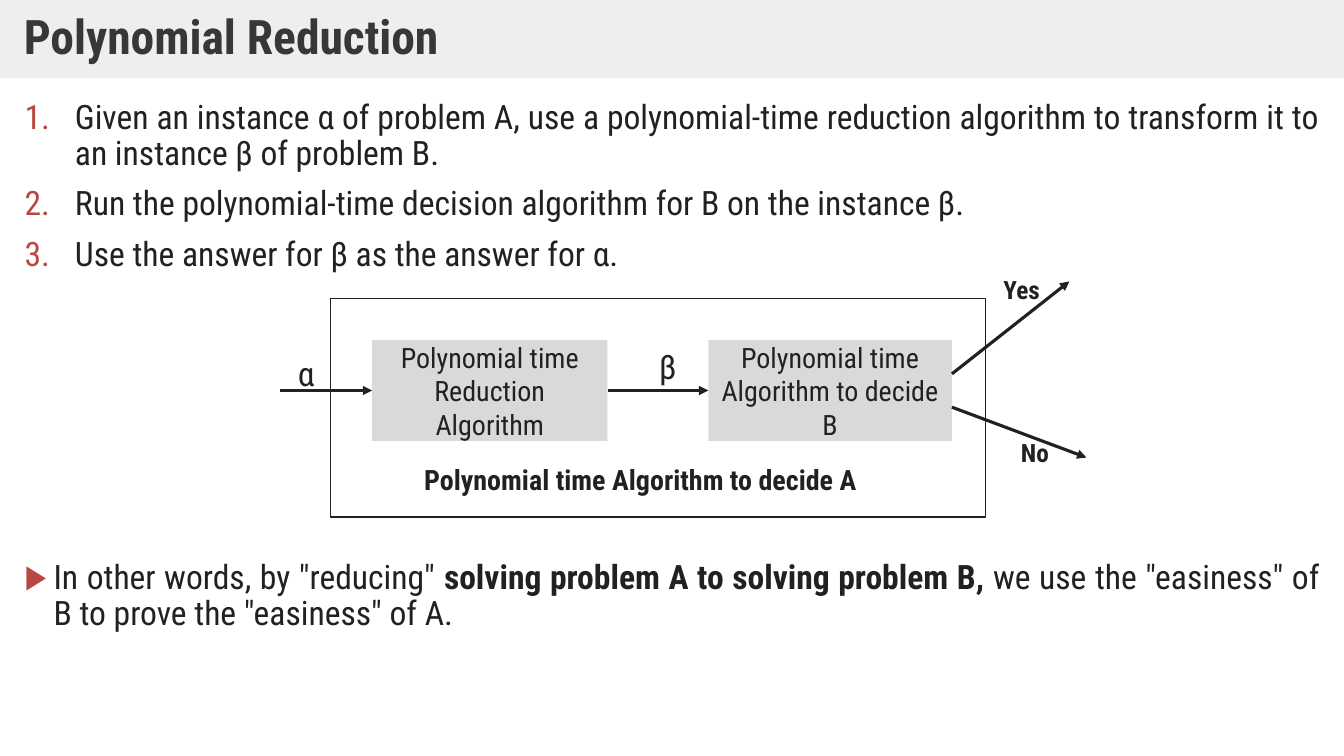
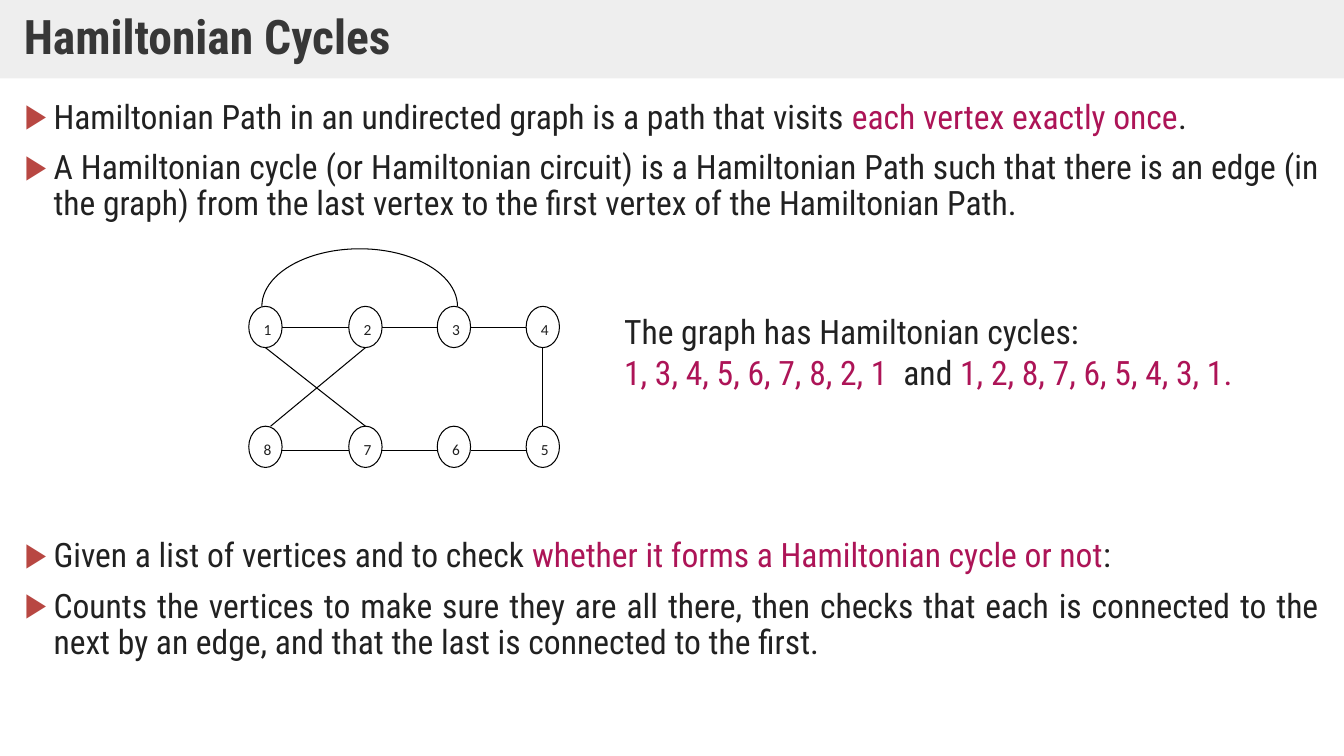
from dataclasses import dataclass

from lxml import etree
from pptx import Presentation
from pptx import util as u
from pptx.dml.color import RGBColor
from pptx.enum import shapes, text
from pptx.oxml import ns

RECTANGLE = shapes.MSO_SHAPE.RECTANGLE
TOP, MIDDLE = text.MSO_ANCHOR.TOP, text.MSO_ANCHOR.MIDDLE
CENTER, JUSTIFY = text.PP_ALIGN.CENTER, text.PP_ALIGN.JUSTIFY


@dataclass(frozen=True)
class Theme:
    font: str = "Roboto Condensed"
    node_font: str = "Calibri"
    ink: str = "212121"
    heading: str = "373737"
    accent: str = "AD1457"
    marker: str = "B84742"
    band: str = "DFDFDF"
    panel: str = "D9D9D9"
    paper: str = "FFFFFF"
    edge: str = "000000"
    title_size: float = 34
    body_size: float = 24
    panel_size: float = 20
    label_size: float = 18
    node_size: float = 11
    frame_line: float = 1
    arrow_line: float = 2.25
    edge_line: float = 0.75


THEME = Theme()


@dataclass(frozen=True)
class Box:
    """A rectangle in centimetres."""
    left: float
    top: float
    width: float
    height: float

    @property
    def right(self):
        return self.left + self.width

    @property
    def bottom(self):
        return self.top + self.height

    @property
    def center_x(self):
        return self.left + self.width / 2

    @property
    def center_y(self):
        return self.top + self.height / 2

    def inner(self, left, top, width, height):
        """A box whose corner is measured from this one's."""
        return Box(self.left + left, self.top + top, width, height)

    def lengths(self):
        return [u.Cm(n) for n in (self.left, self.top, self.width, self.height)]


PAGE = Box(0, 0, 33.87, 19.05)
TITLE = Box(0, 0, PAGE.width, 1.98)
BODY = Box(0.37, 2.4, 33.14, 4.8)


def color(value):
    return RGBColor.from_string(value)


def add_mark(parent, tag, **attributes):
    return etree.SubElement(parent, ns.qn(tag), attributes)


def set_bullet(para, bullet, indent):
    """Hang a bullet; "1." asks for automatic numbers."""
    properties = para._p.get_or_add_pPr()
    properties.set("marL", str(u.Cm(indent)))
    properties.set("indent", str(-u.Cm(indent)))
    add_mark(add_mark(properties, "a:buClr"), "a:srgbClr", val=THEME.marker)
    if bullet == "1.":
        add_mark(properties, "a:buFont", typeface="+mj-lt")
        add_mark(properties, "a:buAutoNum", type="arabicPeriod")
    else:
        add_mark(properties, "a:buFont", typeface=THEME.font)
        add_mark(properties, "a:buChar", char=bullet)


def write(shape, paragraphs, size=THEME.body_size, font=THEME.font, ink=THEME.ink,
          bold=False, align=None, anchor=TOP, wrap=True, spacing=None, before=None,
          after=None, bullet=None, indent=0, insets=None):
    """Fill a shape; a paragraph is a string or a list of (words, run format)."""
    frame = shape.text_frame
    frame.word_wrap = wrap
    frame.vertical_anchor = anchor
    if insets:
        frame.margin_left = frame.margin_right = u.Cm(insets[0])
        frame.margin_top = frame.margin_bottom = u.Cm(insets[1])
    for index, content in enumerate(paragraphs):
        para = frame.add_paragraph() if index else frame.paragraphs[0]
        para.alignment = align or text.PP_ALIGN.LEFT
        para.line_spacing = spacing
        para.space_before = None if before is None else u.Pt(before)
        para.space_after = None if after is None else u.Pt(after)
        if bullet:
            set_bullet(para, bullet, indent)
        for words, style in [(content, {})] if isinstance(content, str) else content:
            span = para.add_run()
            span.text = words
            span.font.name = font
            span.font.size = u.Pt(size)
            span.font.bold = style.get("bold", bold)
            span.font.color.rgb = color(style.get("ink", ink))


def add_text(page, box, paragraphs, **style):
    write(page.shapes.add_textbox(*box.lengths()), paragraphs, **style)


def add_figure(parent, kind, box, fill=None, line=None, width=THEME.edge_line):
    figure = parent.shapes.add_shape(kind, *box.lengths())
    figure.shadow.inherit = False
    if fill:
        figure.fill.solid()
        figure.fill.fore_color.rgb = color(fill)
    else:
        figure.fill.background()
    if line:
        figure.line.color.rgb = color(line)
        figure.line.width = u.Pt(width)
    else:
        figure.line.fill.background()
    return figure


def add_line(parent, start, end, ink=THEME.edge, width=THEME.edge_line, arrow=False):
    line = parent.shapes.add_connector(
        shapes.MSO_CONNECTOR.STRAIGHT, *[u.Cm(n) for n in (*start, *end)])
    line.line.color.rgb = color(ink)
    line.line.width = u.Pt(width)
    if arrow:
        add_mark(line.line._get_or_add_ln(), "a:tailEnd", type="triangle")
    add_mark(line._element.spPr, "a:effectLst")
    return line


def add_page(deck, title):
    page = deck.slides.add_slide(deck.slide_layouts[6])
    band = add_figure(page, RECTANGLE, TITLE, THEME.band)
    fill = band._element.spPr.find(ns.qn("a:solidFill"))
    add_mark(fill[0], "a:alpha", val="50000")
    write(band, [title], size=THEME.title_size, ink=THEME.heading, bold=True,
          anchor=MIDDLE, spacing=0.9, insets=(0.6, 0.3))
    return page


def add_list(page, box, items, bullet="▶", indent=0.73):
    add_text(page, box, items, bullet=bullet, indent=indent, align=JUSTIFY,
             spacing=0.9, before=10)


def draw_reduction(page, box):
    """The two algorithms that together decide A, with input and answers."""
    add_figure(page, RECTANGLE, box, line=THEME.ink, width=THEME.frame_line)
    reduction_box = box.inner(1.05, 1.05, 5.93, 2.54)
    decision_box = box.inner(9.52, 1.05, 6.14, 2.54)
    panels = []
    for panel_box, words in (
            (reduction_box, "Polynomial time Reduction Algorithm"),
            (decision_box, "Polynomial time Algorithm to decide B")):
        panel = add_figure(page, RECTANGLE, panel_box, THEME.panel)
        write(panel, [words], size=THEME.panel_size, align=CENTER, anchor=MIDDLE)
        panels.append(panel)
    reduction, decision = panels

    middle = reduction_box.center_y
    exit_x = decision_box.right
    transfer, entry, _, _ = [
        add_line(page, start, end, THEME.ink, THEME.arrow_line, arrow=True)
        for start, end in (
            ((reduction_box.right, middle), (decision_box.left, middle)),
            ((box.left - 1.27, middle), (reduction_box.left, middle)),
            ((exit_x, middle - 0.42), (box.left + 18.62, box.top - 0.43)),
            ((exit_x, middle + 0.42), (box.left + 19.05, box.top + 4.01)))]
    transfer.begin_connect(reduction, 3)
    transfer.end_connect(decision, 1)
    entry.end_connect(reduction, 1)

    for words, place, size, bold in (
            ("α", (-1.07, 1.24, 0.84, 1.27), THEME.body_size, False),
            ("β", (8.03, 1.07, 0.64, 1.27), THEME.body_size, False),
            ("Yes", (16.71, -0.74, 1.47, 1.02), THEME.label_size, True),
            ("No", (17.15, 3.38, 1.22, 1.02), THEME.label_size, True),
            ("Polynomial time Algorithm to decide A", (2.11, 4.01, 12.17, 1.12),
             THEME.panel_size, True)):
        # Only the one-word labels are narrower than their insets allow.
        add_text(page, box.inner(*place), [words], size=size, bold=bold,
                 wrap=" " in words)


def draw_graph(page, box):
    """Eight vertices in two rows, with straight edges and one arc."""
    graph = page.shapes.add_group_shape()
    columns = (0, 2.52, 4.75, 6.99)
    rows = ((1.45, (1, 2, 3, 4)), (4.47, (8, 7, 6, 5)))
    nodes = {}
    for top, names in rows:
        for left, name in zip(columns, names):
            nodes[name] = box.inner(left, top, 0.84, 1.04)
            node = add_figure(graph, shapes.MSO_SHAPE.OVAL, nodes[name],
                              THEME.paper, THEME.edge)
            write(node, [str(name)], size=THEME.node_size, font=THEME.node_font,
                  spacing=1.15, after=10)

    for (_, names), drop in zip(rows, (0.02, 0.09)):
        for first, second in zip(names, names[1:]):
            level = nodes[first].center_y + drop
            add_line(graph, (nodes[first].right, level), (nodes[second].left, level))
    for upper, lower, shift in ((4, 5, 0), (1, 7, 0), (2, 8, 0.13)):
        add_line(graph, (nodes[upper].center_x, nodes[upper].bottom),
                 (nodes[lower].center_x + shift, nodes[lower].top))

    arc = add_figure(graph, shapes.MSO_SHAPE.ARC, box.inner(0.33, 0, 4.93, 2.9),
                     line=THEME.edge)
    arc.adjustments[0] = 108  # 180 degrees, in units of 100000/60000 degree
    arc.adjustments[1] = 0


def build_reduction_page(deck):
    page = add_page(deck, "Polynomial Reduction")
    add_list(page, BODY, [
        "Given an instance α of problem A, use a polynomial-time reduction algorithm "
        "to transform it to an instance β of problem B.",
        "Run the polynomial-time decision algorithm for B on the instance β.",
        "Use the answer for β as the answer for α."], bullet="1.", indent=1.27)
    draw_reduction(page, Box(8.33, 7.52, 16.51, 5.51))
    add_list(page, Box(BODY.left, 14, BODY.width, 2.2), [[
        ('In other words, by "reducing" ', {}),
        ("solving problem A to solving problem B, ", {"bold": True}),
        ('we use the "easiness" of B to prove the "easiness" of A.', {})]])


def build_cycles_page(deck):
    accent = {"ink": THEME.accent}
    page = add_page(deck, "Hamiltonian Cycles")
    add_list(page, BODY, [
        [("Hamiltonian Path in an undirected graph is a path that visits ", {}),
         ("each vertex exactly once", accent), (".", {})],
        "A Hamiltonian cycle (or Hamiltonian circuit) is a Hamiltonian Path such that "
        "there is an edge (in the graph) from the last vertex to the first vertex of "
        "the Hamiltonian Path."])
    draw_graph(page, Box(6.27, 6.27, 7.83, 5.51))
    add_text(page, Box(15.48, 7.72, 16.76, 2.31), [
        "The graph has Hamiltonian cycles:",
        [("1, 3, 4, 5, 6, 7, 8, 2, 1  ", accent), ("and ", {}),
         ("1, 2, 8, 7, 6, 5, 4, 3, 1.", accent)]])
    add_list(page, Box(BODY.left, 13.45, BODY.width, 3.5), [
        [("Given a list of vertices and to check ", {}),
         ("whether it forms a Hamiltonian cycle or not", accent), (":", {})],
        "Counts the vertices to make sure they are all there, then checks that each is "
        "connected to the next by an edge, and that the last is connected to the first."])


def main():
    deck = Presentation()
    deck.slide_width, deck.slide_height = u.Cm(PAGE.width), u.Cm(PAGE.height)
    build_reduction_page(deck)
    build_cycles_page(deck)
    deck.save("out.pptx")


if __name__ == "__main__":
    main()
